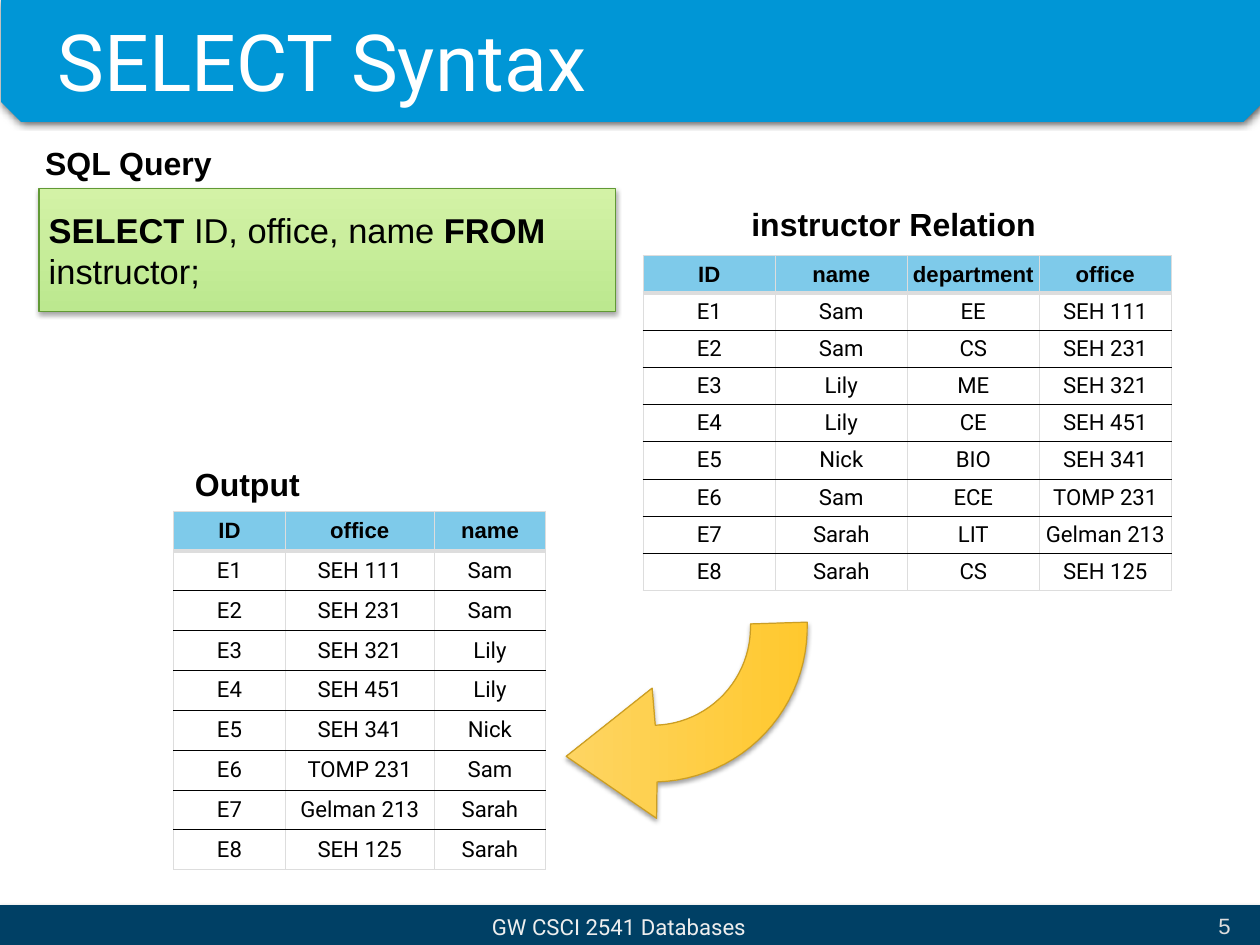
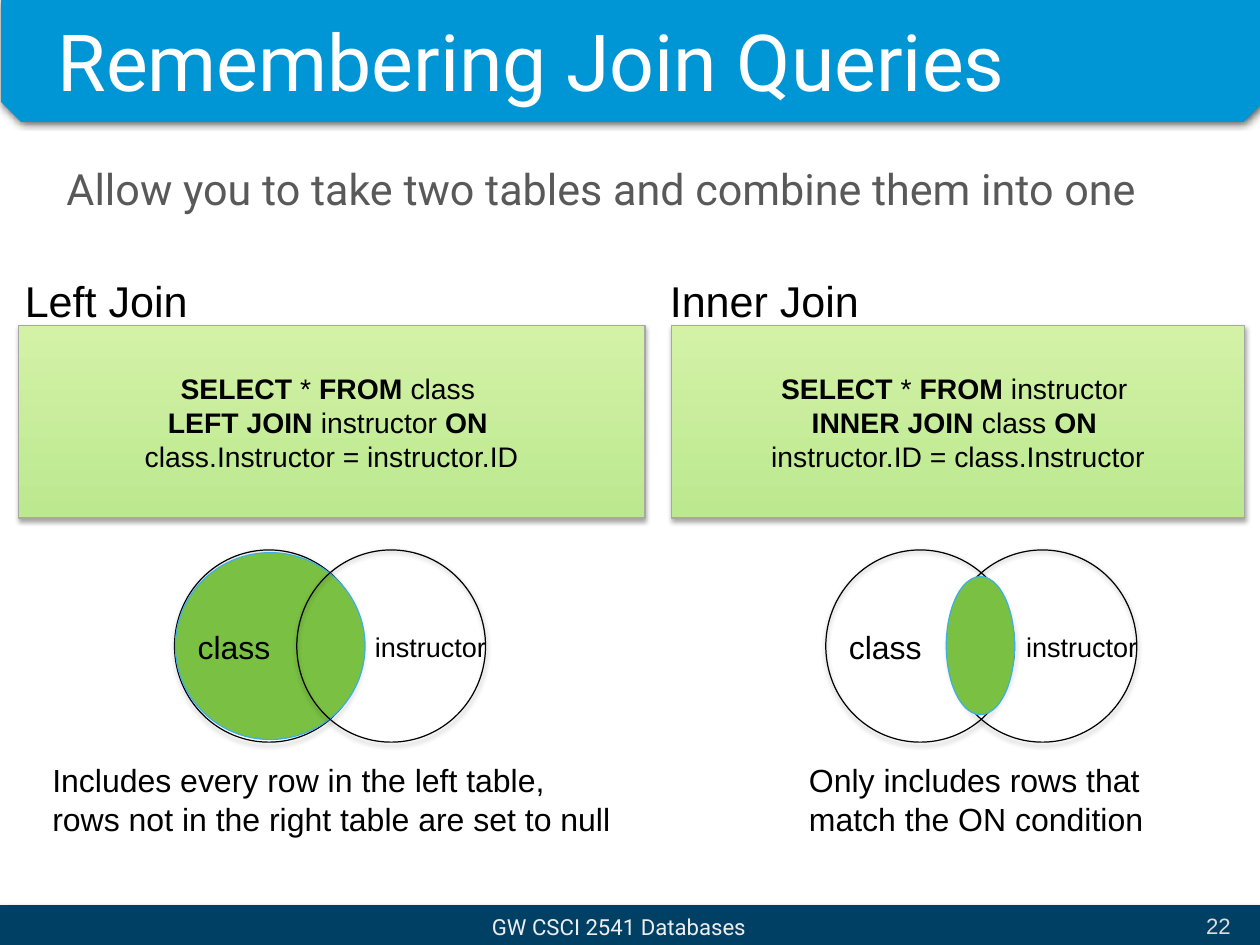
import math
from dataclasses import dataclass

from lxml import etree
from pptx import Presentation, util as u
from pptx.dml.color import RGBColor
from pptx.enum import shapes, text
from pptx.oxml import ns

LEFT, CENTER, RIGHT = text.PP_ALIGN.LEFT, text.PP_ALIGN.CENTER, text.PP_ALIGN.RIGHT
TOP, MIDDLE = text.MSO_ANCHOR.TOP, text.MSO_ANCHOR.MIDDLE
RECT, OVAL = shapes.MSO_SHAPE.RECTANGLE, shapes.MSO_SHAPE.OVAL


@dataclass(frozen=True)
class Theme:
    sans: str = "Arial"
    display: str = "Roboto"
    black: str = "000000"
    white: str = "FFFFFF"
    band: str = "0096D6"
    footer: str = "004065"
    footer_text: str = "EEEEEE"
    number_text: str = "DDDDDD"
    body_text: str = "595959"
    grid: str = "DDDDDD"
    header_fill: str = "7ECAEA"
    code_fill: tuple = ("BCE88F", "D3F2A6")
    code_line: str = "619935"
    join_line: str = "A7A7A7"
    arrow_fill: tuple = ("FFC82E", "FED562")
    arrow_line: str = "CB9E24"
    match_fill: str = "7AC143"
    match_line: str = "3EB0E0"
    title_size: int = 64
    lead_size: int = 35
    code_size: int = 28
    label_size: int = 26
    join_size: int = 23
    small_label_size: int = 22
    small_size: int = 18
    band_shadow: tuple = (71, 7, 0, 0)
    soft_shadow: tuple = (37, 4, 2, 90)
    code_shadow: tuple = (34, 4, 2, 90)


THEME = Theme()


def write(frame, content, size=THEME.small_size, font=THEME.sans, color=THEME.black,
          bold=False, align=LEFT, spacing=None):
    """Lines are split at newlines; parts between bars switch to bold."""
    for index, line in enumerate(content.split("\n")):
        paragraph = frame.paragraphs[0] if index == 0 else frame.add_paragraph()
        paragraph.alignment = align
        if spacing:
            paragraph.line_spacing = spacing
        for position, part in enumerate(line.split("|")):
            if part:
                run = paragraph.add_run()
                run.text = part
                run.font.size = u.Pt(size)
                run.font.name = font
                run.font.bold = bold or position % 2 == 1
                run.font.color.rgb = RGBColor.from_string(color)


def arc(center, radius, start, end, steps=24):
    angles = [math.radians(start + (end - start) * i / steps) for i in range(steps + 1)]
    return [(center[0] + radius * math.cos(a), center[1] + radius * math.sin(a))
            for a in angles]


def draw_border(properties, position, side, color, width):
    line = etree.Element(ns.qn(f"a:ln{side}"), w=str(u.Pt(width)))
    fill = etree.SubElement(line, ns.qn("a:solidFill"))
    etree.SubElement(fill, ns.qn("a:srgbClr"), val=color)
    properties.insert(position, line)


class Deck:
    def __init__(self, theme, width, height):
        self.theme = theme
        self.presentation = Presentation()
        self.presentation.slide_width = u.Inches(width)
        self.presentation.slide_height = u.Inches(height)
        self.slide = None

    def new_slide(self, title, number):
        t = self.theme
        self.slide = self.presentation.slides.add_slide(self.presentation.slide_layouts[6])
        self.outline([(0.02, 0), (14.25, 0), (14.25, 1.15), (14.03, 1.37),
                      (0.24, 1.37), (0.02, 1.15)], t.band, t.band, t.band_shadow)
        self.shape(RECT, (-0.01, 10.23, 14.24, 0.45), t.footer, t.footer, t.soft_shadow)
        padded = {"inset": 0.14, "anchor": MIDDLE}
        self.text((1.05, 10.17, 11.87, 0.59), "GW CSCI 2541 Databases", **padded,
                  font=t.display, color=t.footer_text, align=CENTER)
        self.text((0.51, 0, 13.25, 1.36), title, **padded,
                  size=t.title_size, font=t.display, color=t.white)
        self.text((13.45, 10.17, 0.58, 0.57), number, **padded,
                  color=t.number_text, align=RIGHT)

    def paint(self, shape, fill, line, shadow, angle=90):
        if fill is None:
            shape.fill.background()
        elif isinstance(fill, tuple):
            shape.fill.gradient()
            shape.fill.gradient_angle = angle
            for stop, color in zip(shape.fill.gradient_stops, fill):
                stop.color.rgb = RGBColor.from_string(color)
        else:
            shape.fill.solid()
            shape.fill.fore_color.rgb = RGBColor.from_string(fill)
        shape.line.color.rgb = RGBColor.from_string(line)
        shape.line.width = u.Pt(1)
        shape.shadow.inherit = False
        if shadow:
            alpha, blur, distance, direction = shadow
            effects = shape._element.spPr.find(ns.qn("a:effectLst"))
            outer = etree.SubElement(
                effects, ns.qn("a:outerShdw"), blurRad=str(u.Pt(blur)),
                dist=str(u.Pt(distance)), dir=str(direction * 60000),
                algn="bl", rotWithShape="0")
            color = etree.SubElement(outer, ns.qn("a:srgbClr"), val=self.theme.black)
            etree.SubElement(color, ns.qn("a:alpha"), val=str(alpha * 1000))
        return shape

    def shape(self, preset, at, fill, line, shadow=None):
        shape = self.slide.shapes.add_shape(preset, *map(u.Inches, at))
        return self.paint(shape, fill, line, shadow)

    def outline(self, points, fill, line, shadow, angle=90):
        corners = [(u.Inches(x), u.Inches(y)) for x, y in points]
        builder = self.slide.shapes.build_freeform(*corners[0])
        builder.add_line_segments(corners[1:], close=True)
        return self.paint(builder.convert_to_shape(), fill, line, shadow, angle)

    def fill_frame(self, frame, content, inset, anchor, **style):
        frame.word_wrap = True
        frame.vertical_anchor = anchor
        frame.margin_left = frame.margin_right = u.Inches(inset)
        frame.margin_top = frame.margin_bottom = u.Inches(inset)
        write(frame, content, **style)

    def text(self, at, content, inset=0, anchor=TOP, **style):
        box = self.slide.shapes.add_textbox(*map(u.Inches, at))
        self.fill_frame(box.text_frame, content, inset, anchor, **style)

    def code(self, at, content, line, **style):
        box = self.shape(RECT, at, self.theme.code_fill, line, self.theme.code_shadow)
        self.fill_frame(box.text_frame, content, 0.11, MIDDLE, **style)

    def table(self, left, top, widths, row_height, rows):
        t = self.theme
        frame = self.slide.shapes.add_table(
            len(rows), len(widths), u.Inches(left), u.Inches(top),
            u.Inches(sum(widths)), u.Inches(row_height * len(rows)))
        table = frame.table
        table.first_row = table.horz_banding = False
        for column, width in zip(table.columns, widths):
            column.width = u.Inches(width)
        rules = [(t.grid, 1), (t.grid, 4)] + [(t.black, 0.75)] * (len(rows) - 2) + [(t.grid, 1)]
        for r, row in enumerate(rows):
            table.rows[r].height = u.Inches(row_height)
            header = r == 0
            for c, value in enumerate(row):
                cell = table.cell(r, c)
                cell.fill.solid()
                cell.fill.fore_color.rgb = RGBColor.from_string(
                    t.header_fill if header else t.white)
                cell.vertical_anchor = MIDDLE
                cell.margin_left = cell.margin_right = 0
                cell.margin_top = cell.margin_bottom = 0
                write(cell.text_frame, value, bold=header, align=CENTER,
                      font=t.sans if header else t.display)
                borders = {"L": (t.grid, 1), "R": (t.grid, 1), "T": rules[r], "B": rules[r + 1]}
                properties = cell._tc.get_or_add_tcPr()
                for position, (side, rule) in enumerate(borders.items()):
                    draw_border(properties, position, side, *rule)

    def venn(self, left, match_at, match_on_top):
        t = self.theme
        circles = [((x, 6.21, 2.13, 2.17), None, t.black, t.soft_shadow)
                   for x in (left, left + 1.38)]
        match = (match_at, t.match_fill, t.match_line)
        circles.insert(2 if match_on_top else 1, match)
        for circle in circles:
            self.shape(OVAL, *circle)
        self.text((left + 0.26, 7.08, 1, 0.42), "class", size=t.label_size)
        self.text((left + 2.26, 7.12, 1.4, 0.35), "instructor", size=t.small_label_size)


def select_slide(deck):
    t = deck.theme
    deck.new_slide("SELECT Syntax", "5")
    instructors = [
        ("ID", "name", "department", "office"),
        ("E1", "Sam", "EE", "SEH 111"),
        ("E2", "Sam", "CS", "SEH 231"),
        ("E3", "Lily", "ME", "SEH 321"),
        ("E4", "Lily", "CE", "SEH 451"),
        ("E5", "Nick", "BIO", "SEH 341"),
        ("E6", "Sam", "ECE", "TOMP 231"),
        ("E7", "Sarah", "LIT", "Gelman 213"),
        ("E8", "Sarah", "CS", "SEH 125"),
    ]
    output = [(key, office, name) for key, name, _, office in instructors]
    deck.table(1.96, 5.77, [1.26, 1.68, 1.26], 0.45, output)
    deck.table(7.26, 2.89, [1.49] * 4, 0.42, instructors)

    bend = (7.36, 7.08)
    arrow = ([(6.39, 8.54), (7.41, 9.24)] + arc(bend, 1.75, 88.2, -1.8)
             + arc(bend, 1.11, -1.8, 88.2) + [(7.36, 7.77)])
    deck.outline(arrow, t.arrow_fill, t.arrow_line, t.soft_shadow, angle=180)

    deck.code((0.44, 2.13, 6.51, 1.39), "|SELECT| ID, office, name |FROM|\ninstructor;",
              t.code_line, size=t.code_size)
    for left, top, heading in [(8.48, 2.31, "instructor Relation"),
                               (0.51, 1.62, "SQL Query"), (2.2, 5.25, "Output")]:
        deck.text((left, top, 4.97, 0.44), heading, size=t.label_size, bold=True)


def join_slide(deck):
    t = deck.theme
    deck.new_slide("Remembering Join Queries", "22")
    deck.text((0.61, 1.61, 13.37, 1.2),
              "Allow you to take two tables and combine them into one", inset=0.14,
              size=t.lead_size, font=t.display, color=t.body_text, spacing=1.15)
    joins = [
        ("Left Join", 0.28, (0.21, 7.07),
         "|SELECT| * |FROM| class \n|LEFT JOIN |instructor |ON |\n"
         "class.Instructor = instructor.ID",
         (1.97, (1.98, 6.24, 2.14, 2.11), False), (0.59, 6.4),
         "Includes every row in the left table,\nrows not in the right table are set to null"),
        ("Inner Join", 7.56, (7.58, 6.47),
         "|SELECT| * |FROM| instructor \n|INNER JOIN |class |ON |\n"
         "instructor.ID = class.Instructor",
         (9.32, (10.68, 6.51, 0.77, 1.56), True), (9.13, 4),
         "Only includes rows that\nmatch the ON condition"),
    ]
    for heading, heading_left, (left, width), query, venn, (note_left, note_width), note in joins:
        deck.code((left, 3.68, width, 2.17), query, t.join_line,
                  size=t.join_size, align=CENTER)
        deck.text((heading_left, 3.1, 2.4, 0.54), heading, size=t.lead_size)
        deck.venn(*venn)
        deck.text((note_left, 8.59, note_width, 0.85), note, size=t.label_size)


def main():
    deck = Deck(THEME, 14.22, 10.67)
    select_slide(deck)
    join_slide(deck)
    deck.presentation.save("out.pptx")


if __name__ == "__main__":
    main()
